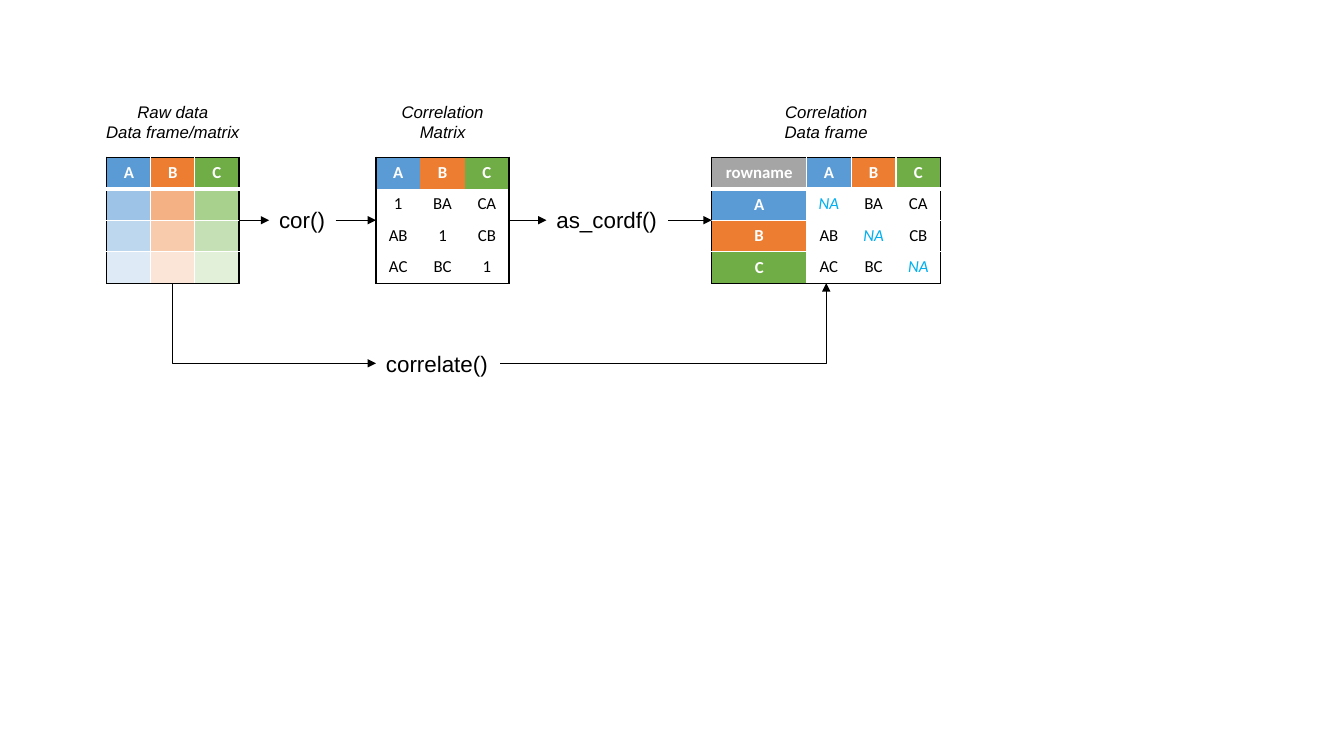
from dataclasses import dataclass

from lxml import etree
from pptx import Presentation
from pptx.dml.color import RGBColor
from pptx.enum import shapes, text
from pptx.oxml import ns
from pptx.util import Inches, Pt


@dataclass(frozen=True)
class Theme:
    """Colours, fonts and sizes of the slide."""
    ink: str = "000000"
    paper: str = "FFFFFF"
    rowname: str = "A5A5A5"
    missing: str = "00B0F0"
    variables: tuple = ("5B9BD5", "ED7D31", "70AD47")
    tints: tuple = (("9DC3E6", "F4B183", "A9D18E"),
                    ("BDD7EE", "F8CBAD", "C5E0B4"),
                    ("DEEBF7", "FBE5D6", "E2F0D9"))
    label_font: str = "Arial"
    cell_font: str = "Calibri"
    small: int = 12
    call: int = 16
    thin: float = 0.5
    line: float = 1
    header_rule: float = 3


@dataclass(frozen=True)
class Box:
    """A rectangle in inches."""
    left: float
    top: float
    width: float
    height: float

    @property
    def right(self):
        return self.left + self.width

    @property
    def bottom(self):
        return self.top + self.height

    @property
    def center(self):
        return self.left + self.width / 2

    @property
    def middle(self):
        return self.top + self.height / 2

    def lengths(self):
        return [Inches(v) for v in (self.left, self.top, self.width, self.height)]


@dataclass(frozen=True)
class Entry:
    """Content and look of one table cell."""
    words: str = ""
    fill: str = Theme.paper
    color: str = Theme.ink
    bold: bool = False
    italic: bool = False


THEME = Theme()
NAMES = "ABC"


def sub(parent, tag, **attributes):
    """Append a DrawingML child element."""
    return etree.SubElement(parent, ns.qn(tag), **attributes)


def add_run(paragraph, words, font, size, color=THEME.ink, bold=False, italic=False):
    """Add one formatted run."""
    run = paragraph.add_run()
    run.text = words
    run.font.name, run.font.size = font, Pt(size)
    run.font.bold, run.font.italic = bold, italic
    run.font.color.rgb = RGBColor.from_string(color)


def label(slide, box, paragraphs, size, align=None, italic=False):
    """Place unwrapped text; a newline within a paragraph is a line break."""
    frame = slide.shapes.add_textbox(*box.lengths()).text_frame
    frame.word_wrap = False
    frame.auto_size = text.MSO_AUTO_SIZE.SHAPE_TO_FIT_TEXT
    for i, words in enumerate(paragraphs):
        paragraph = frame.add_paragraph() if i else frame.paragraphs[0]
        paragraph.alignment = align
        for j, line in enumerate(words.split("\n")):
            if j:
                paragraph.add_line_break()
            add_run(paragraph, line, THEME.label_font, size, italic=italic)


def arrow(slide, start, end, width=THEME.line, bent=False, point_at="tailEnd"):
    """Draw an arrow; a bent one runs level first, then upright."""
    kind = shapes.MSO_CONNECTOR.ELBOW if bent else shapes.MSO_CONNECTOR.STRAIGHT
    link = slide.shapes.add_connector(kind, *[Inches(v) for v in (*start, *end)])
    link.line.color.rgb = RGBColor.from_string(THEME.ink)
    link.line.width = Pt(width)
    properties = link._element.spPr
    if bent:
        properties.find(ns.qn("a:prstGeom")).set("prst", "bentConnector2")
    sub(properties.find(ns.qn("a:ln")), "a:" + point_at, type="triangle")
    sub(properties, "a:effectLst")


def border(cell, side, color, width):
    """Set one cell edge; no colour means no line."""
    edge = sub(cell._tc.get_or_add_tcPr(), "a:ln" + side, w=str(Pt(width)))
    if color:
        sub(sub(edge, "a:solidFill"), "a:srgbClr", val=color)
    else:
        sub(edge, "a:noFill")


def fill_cell(cell, entry, is_heading):
    """Write an entry into a cell."""
    cell.fill.solid()
    cell.fill.fore_color.rgb = RGBColor.from_string(entry.fill)
    if is_heading:
        cell.vertical_anchor = text.MSO_ANCHOR.MIDDLE
    paragraph = cell.text_frame.paragraphs[0]
    paragraph.alignment = text.PP_ALIGN.CENTER
    if entry.words:
        add_run(paragraph, entry.words, THEME.cell_font, THEME.small,
                entry.color, entry.bold, entry.italic)
    else:
        sub(paragraph._p, "a:endParaRPr", sz=str(THEME.small * 100))


def data_panel(slide, box, caption, caption_width, rows, widths, grid):
    """Draw a framed table in the box with its caption centred above."""
    label(slide, Box(box.center - caption_width / 2, box.top - 0.6, caption_width, 0.5),
          caption, THEME.small, text.PP_ALIGN.CENTER, italic=True)
    table = slide.shapes.add_table(len(rows), len(widths), *box.lengths()).table
    table.first_row = table.horz_banding = False
    for column, width in zip(table.columns, widths):
        column.width = Inches(width)
    last_row, last_column = len(rows) - 1, len(widths) - 1
    for r, entries in enumerate(rows):
        table.rows[r].height = Inches(box.height / len(rows))
        for c, entry in enumerate(entries):
            cell = table.cell(r, c)
            outer = {"L": c == 0, "R": c == last_column, "T": r == 0, "B": r == last_row}
            for side, is_outer in outer.items():
                under_header = (r, side) in ((0, "B"), (1, "T"))
                width = THEME.header_rule if grid and under_header else THEME.line
                border(cell, side, THEME.ink if is_outer else grid, width)
            fill_cell(cell, entry, entry.bold)


def headings():
    """Return the coloured entries for the variables."""
    return [Entry(n, f, THEME.paper, True) for n, f in zip(NAMES, THEME.variables)]


def correlations(diagonal):
    """Return the body rows, with one given entry on the diagonal."""
    return [[diagonal if row == column else Entry(column + row) for column in NAMES]
            for row in NAMES]


def step(slide, box, words, source, target):
    """Place a function call between two tables, joined by arrows."""
    label(slide, box, [words], THEME.call)
    y = source.middle
    arrow(slide, (source.right, y), (box.left, y))
    arrow(slide, (box.right, y), (target.left, y))


def shortcut(slide, box, words, source, target):
    """Place the call that leads under the tables from first to last."""
    label(slide, box, [words], THEME.call)
    y = box.middle
    arrow(slide, (box.left, y), (source.center, source.bottom), THEME.thin, True, "headEnd")
    arrow(slide, (box.right, y), (target.center, target.bottom), THEME.thin, True)


def workflow(slide, left, top):
    """Lay out the three tables and the calls that link them."""
    raw = Box(left, top, 1.31, 1.25)
    matrix = Box(left + 2.67, top, 1.32, 1.25)
    cordf = Box(left + 6, top, 2.27, 1.25)
    header = headings()

    data_panel(slide, raw, ["Raw data", "Data frame/matrix"], 1.54,
               [header] + [[Entry(fill=tint) for tint in row] for row in THEME.tints],
               [raw.width / 3] * 3, THEME.paper)
    data_panel(slide, matrix, ["Correlation\nMatrix"], 1.02,
               [header] + correlations(Entry("1")), [matrix.width / 3] * 3, None)
    missing = Entry("NA", color=THEME.missing, italic=True)
    corner = Entry("rowname", THEME.rowname, THEME.paper, True)
    named = [[name] + row for name, row in zip(header, correlations(missing))]
    data_panel(slide, cordf, ["Correlation\nData frame"], 1.03,
               [[corner] + header] + named,
               [0.94] + [(cordf.width - 0.94) / 3] * 3, THEME.paper)

    step(slide, Box(left + 1.61, top + 0.44, 0.66, 0.37), "cor()", raw, matrix)
    step(slide, Box(left + 4.36, top + 0.44, 1.21, 0.37), "as_cordf()", matrix, cordf)
    shortcut(slide, Box(matrix.left, top + 1.86, 1.23, 0.37), "correlate()", raw, cordf)


deck = Presentation()
deck.slide_width, deck.slide_height = Inches(13.33), Inches(7.5)
workflow(deck.slides.add_slide(deck.slide_layouts[6]), 1.06, 1.56)
deck.save("out.pptx")
